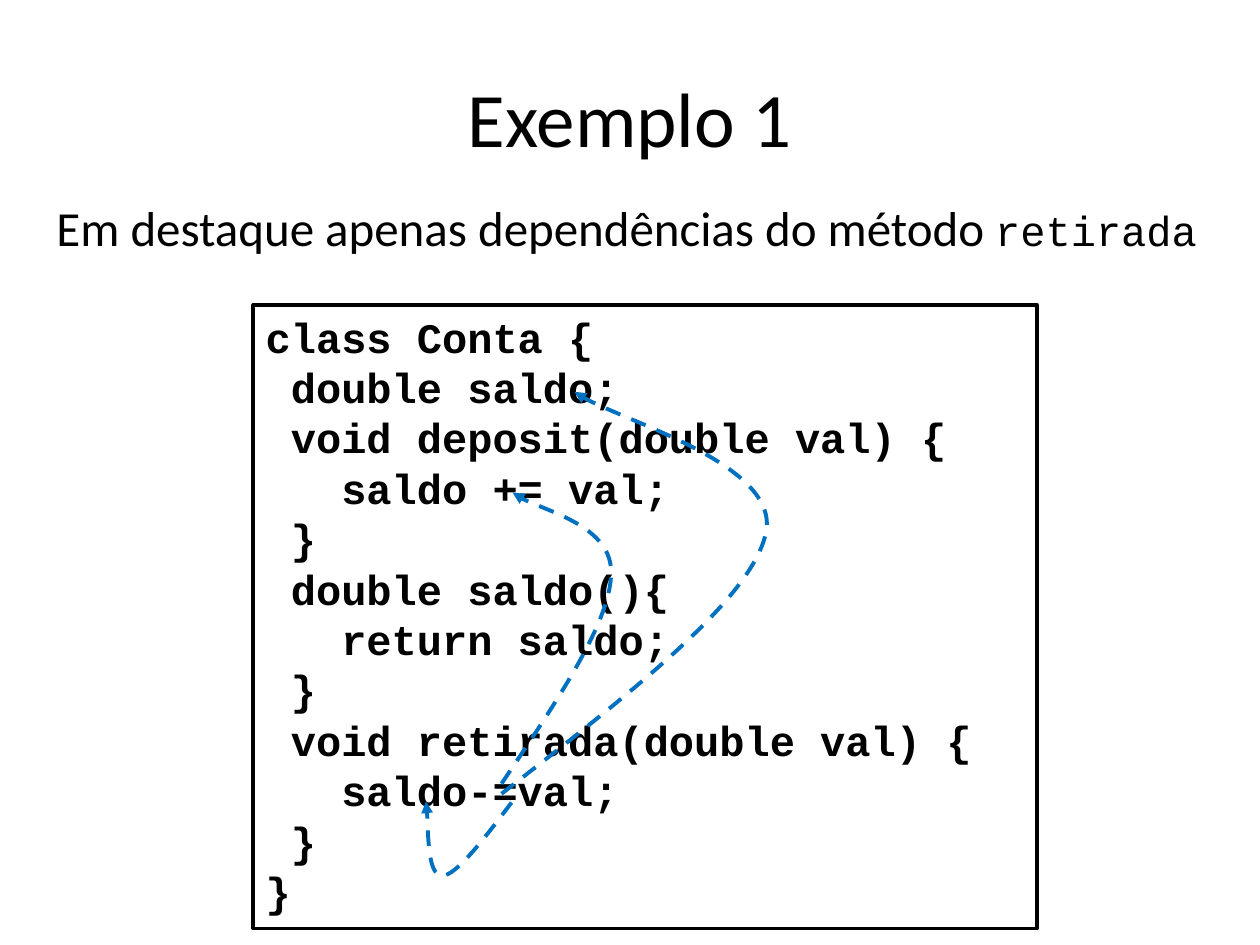
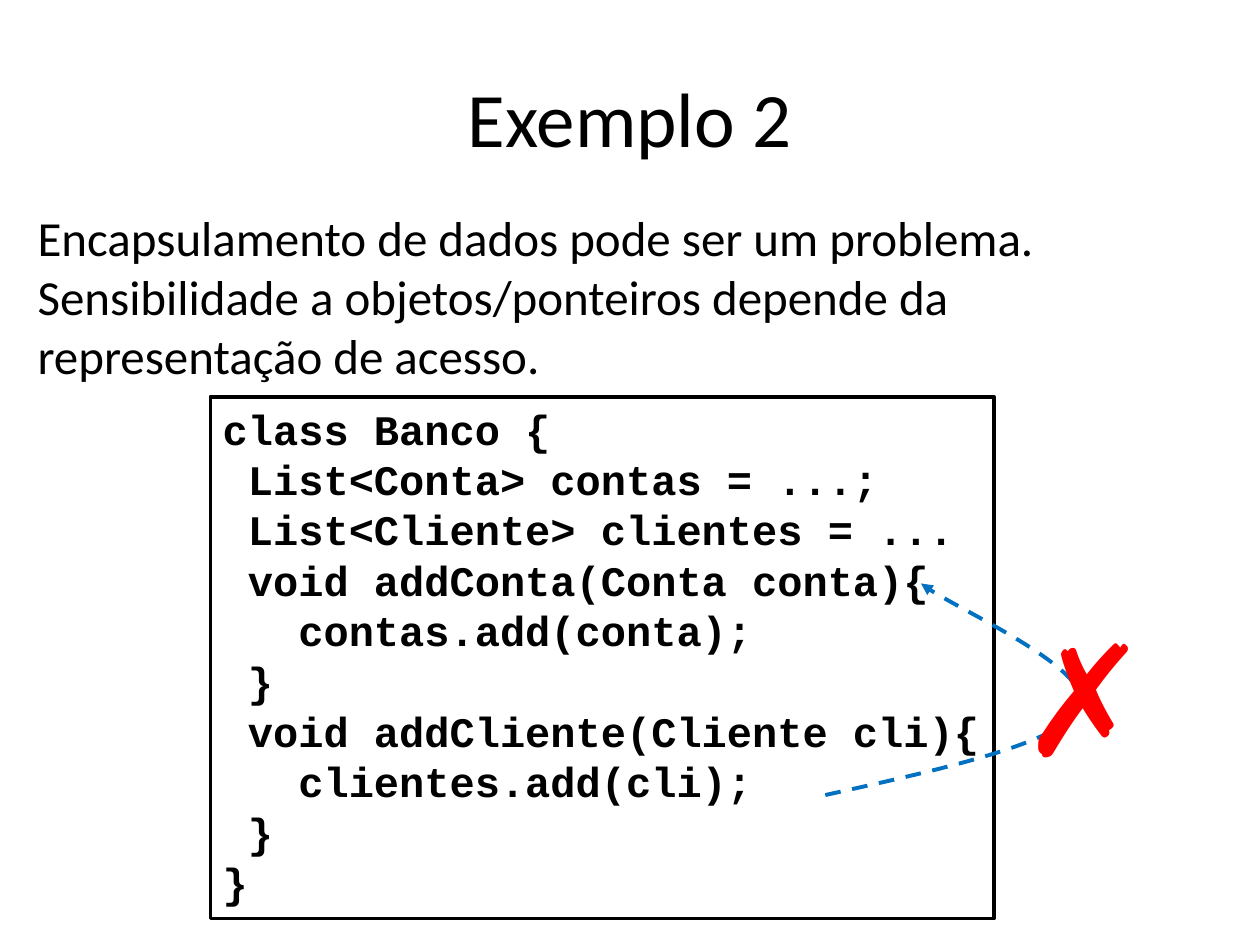
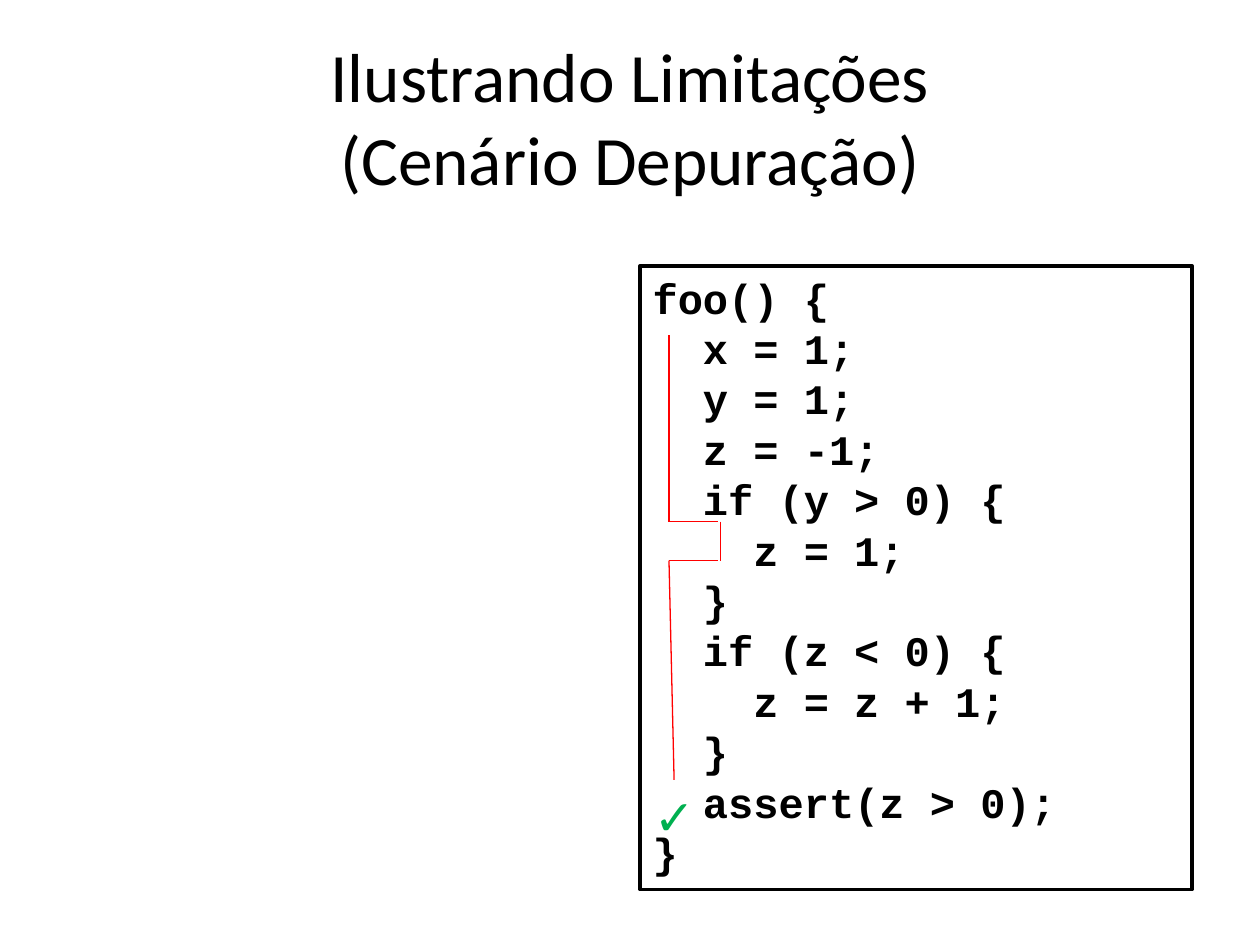
from dataclasses import dataclass

from lxml import etree
from pptx import Presentation
from pptx.dml.color import RGBColor
from pptx.enum import dml, shapes, text
from pptx.oxml.ns import qn
from pptx.util import Pt

BLACK, WHITE, BLUE, RED, GREEN = "000000", "FFFFFF", "0070C0", "FF0000", "00B050"
BODY_FONT, CODE_FONT = "Calibri", "Courier New"
CODE_SIZE, CODE_PITCH, CODE_ROW, CODE_PADDING = 24, 28.8, 29.1, 7.2

Point = tuple[float, float]


@dataclass(frozen=True)
class Box:
    left: float
    top: float
    width: float
    height: float

    def lengths(self):
        return Pt(self.left), Pt(self.top), Pt(self.width), Pt(self.height)


@dataclass(frozen=True)
class CodeListing:
    left: float
    top: float
    width: float
    source: str


@dataclass(frozen=True)
class CurvedArrow:
    start: Point
    bends: tuple[tuple[Point, Point, Point], ...]


@dataclass(frozen=True)
class Mark:
    box: Box
    symbol: str
    size: float
    color: str


TITLE_BOX = Box(36, 21.6, 648, 90)

ACCOUNT_CODE = CodeListing(144.7, 174.2, 447.8, """\
class Conta {
 double saldo;
 void deposit(double val) {
   saldo += val;
 }
 double saldo(){
   return saldo;
 }
 void retirada(double val) {
   saldo-=val;
 }
}""")

BANK_CODE = CodeListing(120.2, 226.8, 447.8, """\
class Banco {
 List<Conta> contas = ...;
 List<Cliente> clientes = ...
 void addConta(Conta conta){
   contas.add(conta);
 }
 void addCliente(Cliente cli){
   clientes.add(cli);
 }
}""")

FOO_CODE = CodeListing(365.8, 151.9, 315.4, """\
foo() {
  x = 1;
  y = 1;
  z = -1;
  if (y > 0) {
    z = 1;
  }
  if (z < 0) {
    z = z + 1;
  }
  assert(z > 0);
}""")

ACCOUNT_ARROWS = (
    CurvedArrow((286.6, 453.6), (
        ((358.6, 397.4), (430.6, 342), (437.8, 303.8)),
        ((445, 265.7), (345.6, 237.6), (328.3, 223.9)))),
    CurvedArrow((286.6, 447.8), (
        ((317.5, 401.8), (348.5, 356.4), (349.2, 328.3)),
        ((350.6, 301), (301.7, 289.4), (293, 281.5)))),
    CurvedArrow((292.3, 458.6), (
        ((276.5, 479.5), (260.6, 500.4), (252.7, 500.4)),
        ((244.1, 500.4), (244.8, 465.1), (243.4, 457.9)))),
)

BANK_ARROW = CurvedArrow((471.6, 454.3), (
    ((540, 439.2), (608.4, 424.1), (617, 403.9)),
    ((626.4, 383.8), (540, 344.9), (526.3, 333.4))))

CROSS = Mark(Box(576, 340.6, 71.3, 113.8), "\u2717", 88, RED)
CHECK = Mark(Box(366.5, 445.7, 36.7, 41), "\u2713", 28, GREEN)

EXECUTION_TRACE = (
    ((382.3, 191.5), (382.3, 298.1)),
    ((382.3, 298.1), (410.4, 298.1)),
    ((411.8, 298.1), (411.8, 320.4)),
    ((382.3, 320.4), (410.4, 320.4)),
    ((382.3, 320.4), (385.2, 445.7)),
)


def rgb(color: str) -> RGBColor:
    return RGBColor.from_string(color)


def set_font(font, size: float, name: str = BODY_FONT, color: str = BLACK,
             bold: bool = False) -> None:
    font.size = Pt(size)
    font.name = name
    font.bold = bold
    font.color.rgb = rgb(color)


def set_line(line, color: str, width: float) -> None:
    line.color.rgb = rgb(color)
    line.width = Pt(width)


def add_text_box(slide, box: Box, wrap: bool = True):
    shape = slide.shapes.add_textbox(*box.lengths())
    shape.text_frame.word_wrap = wrap
    return shape.text_frame


def add_title(slide, title: str, size: float = 44) -> None:
    frame = add_text_box(slide, TITLE_BOX)
    frame.vertical_anchor = text.MSO_ANCHOR.MIDDLE
    paragraph = frame.paragraphs[0]
    paragraph.text = title
    paragraph.alignment = text.PP_ALIGN.CENTER
    set_font(paragraph.font, size)


def add_caption(slide, box: Box, caption: str, code: str = "") -> None:
    paragraph = add_text_box(slide, box).paragraphs[0]
    paragraph.text = caption
    set_font(paragraph.font, 28)
    if code:
        run = paragraph.add_run()
        run.text = code
        set_font(run.font, CODE_SIZE, CODE_FONT)


def add_mark(slide, mark: Mark) -> None:
    frame = add_text_box(slide, mark.box, wrap=False)
    frame.auto_size = text.MSO_AUTO_SIZE.SHAPE_TO_FIT_TEXT
    paragraph = frame.paragraphs[0]
    paragraph.text = mark.symbol
    set_font(paragraph.font, mark.size, color=mark.color)


def add_code(slide, listing: CodeListing) -> None:
    rows = listing.source.count("\n") + 1
    box = Box(listing.left, listing.top, listing.width, rows * CODE_ROW + CODE_PADDING)
    shape = slide.shapes.add_shape(shapes.MSO_SHAPE.RECTANGLE, *box.lengths())
    shape.shadow.inherit = False
    shape.fill.solid()
    shape.fill.fore_color.rgb = rgb(WHITE)
    set_line(shape.line, BLACK, 2)
    frame = shape.text_frame
    frame.word_wrap = True
    frame.vertical_anchor = text.MSO_ANCHOR.TOP
    frame.text = listing.source
    for paragraph in frame.paragraphs:
        paragraph.alignment = text.PP_ALIGN.LEFT
        paragraph.line_spacing = Pt(CODE_PITCH)
        set_font(paragraph.font, CODE_SIZE, CODE_FONT, bold=True)


def add_curved_arrow(slide, arrow: CurvedArrow) -> None:
    start_x, start_y = arrow.start
    builder = slide.shapes.build_freeform(Pt(start_x), Pt(start_y))
    ends = [(Pt(x), Pt(y)) for _, _, (x, y) in arrow.bends]
    builder.add_line_segments(ends, close=False)
    shape = builder.convert_to_shape()
    for segment, bend in zip(shape._element.xpath(".//a:lnTo"), arrow.bends):
        curve = etree.Element(qn("a:cubicBezTo"))
        for x, y in bend:
            etree.SubElement(curve, qn("a:pt"), x=str(Pt(x) - shape.left),
                             y=str(Pt(y) - shape.top))
        segment.getparent().replace(segment, curve)
    shape.shadow.inherit = False
    shape.fill.background()
    set_line(shape.line, BLUE, 2.25)
    shape.line.dash_style = dml.MSO_LINE.DASH
    etree.SubElement(shape.line._get_or_add_ln(), qn("a:tailEnd"), type="triangle")


def add_trace(slide, segments: tuple[tuple[Point, Point], ...]) -> None:
    for start, end in segments:
        connector = slide.shapes.add_connector(
            shapes.MSO_CONNECTOR.STRAIGHT, *(Pt(value) for value in start + end))
        set_line(connector.line, RED, 0.75)
        etree.SubElement(connector._element.spPr, qn("a:effectLst"))


def build_account_slide(slide) -> None:
    add_title(slide, "Exemplo 1")
    add_code(slide, ACCOUNT_CODE)
    for arrow in ACCOUNT_ARROWS:
        add_curved_arrow(slide, arrow)
    add_caption(slide, Box(25.2, 109.4, 702.7, 41),
                "Em destaque apenas dependências do método ", "retirada")


def build_bank_slide(slide) -> None:
    add_title(slide, "Exemplo 2")
    add_code(slide, BANK_CODE)
    add_curved_arrow(slide, BANK_ARROW)
    add_mark(slide, CROSS)
    add_caption(slide, Box(14.4, 115.2, 675.4, 108.7),
                "Encapsulamento de dados pode ser um problema. Sensibilidade a "
                "objetos/ponteiros depende da representação de acesso.")


def build_debugging_slide(slide) -> None:
    add_title(slide, "Ilustrando Limitações\v(Cenário Depuração)", 39.6)
    add_code(slide, FOO_CODE)
    add_trace(slide, EXECUTION_TRACE)
    add_mark(slide, CHECK)


def main() -> None:
    presentation = Presentation()
    presentation.slide_width, presentation.slide_height = Pt(720), Pt(540)
    blank_layout = presentation.slide_layouts[6]
    for build in (build_account_slide, build_bank_slide, build_debugging_slide):
        build(presentation.slides.add_slide(blank_layout))
    presentation.save("out.pptx")


main()
